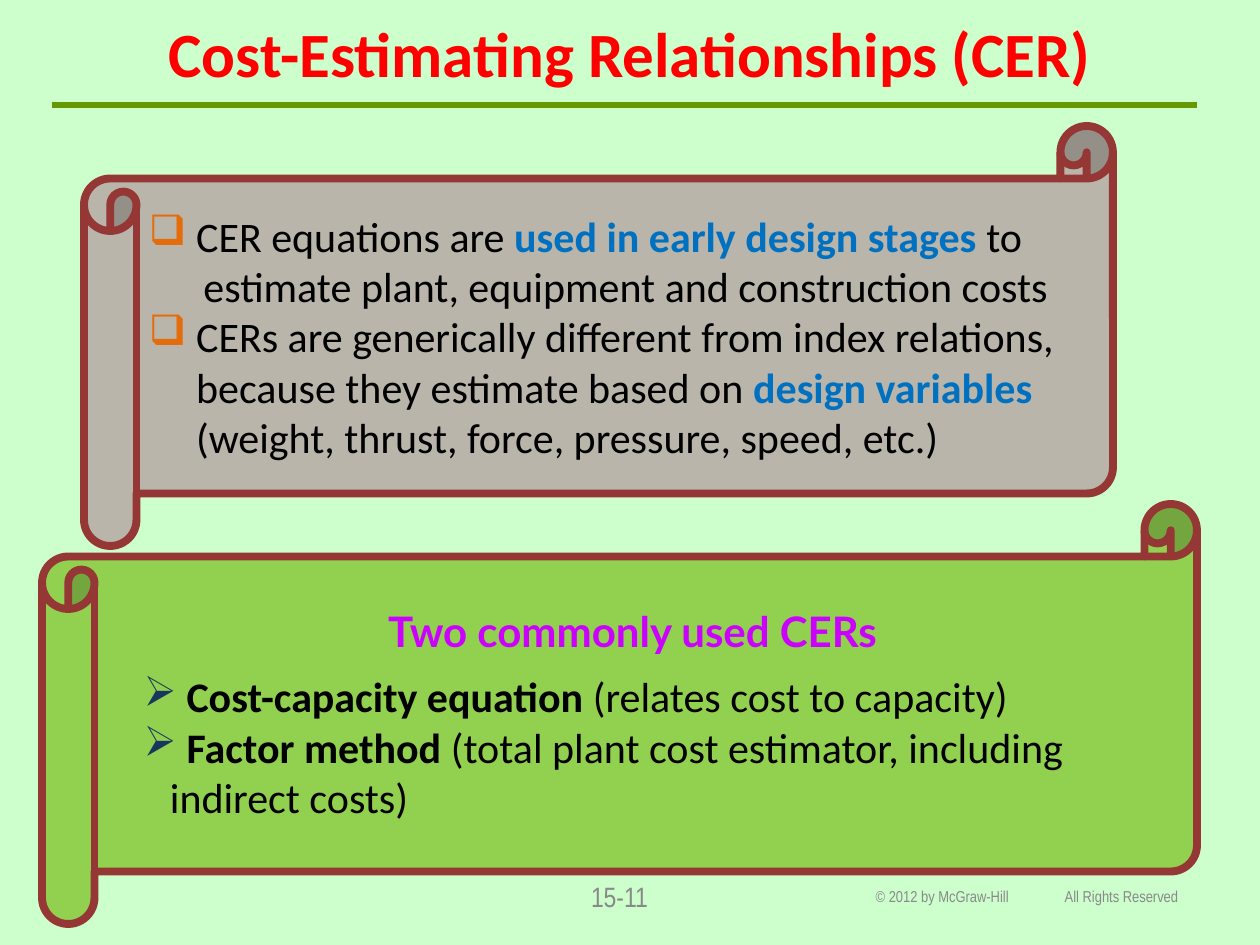
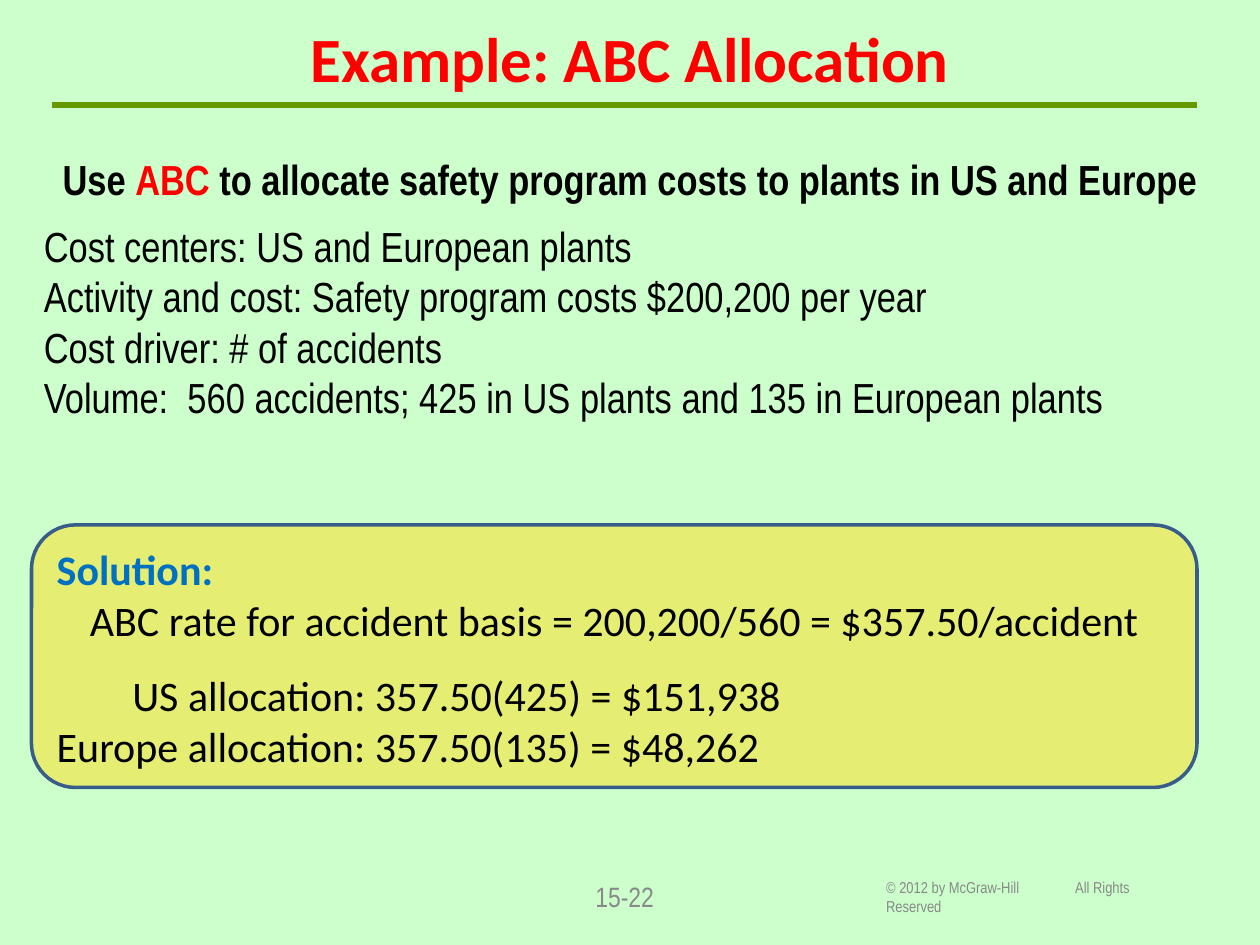
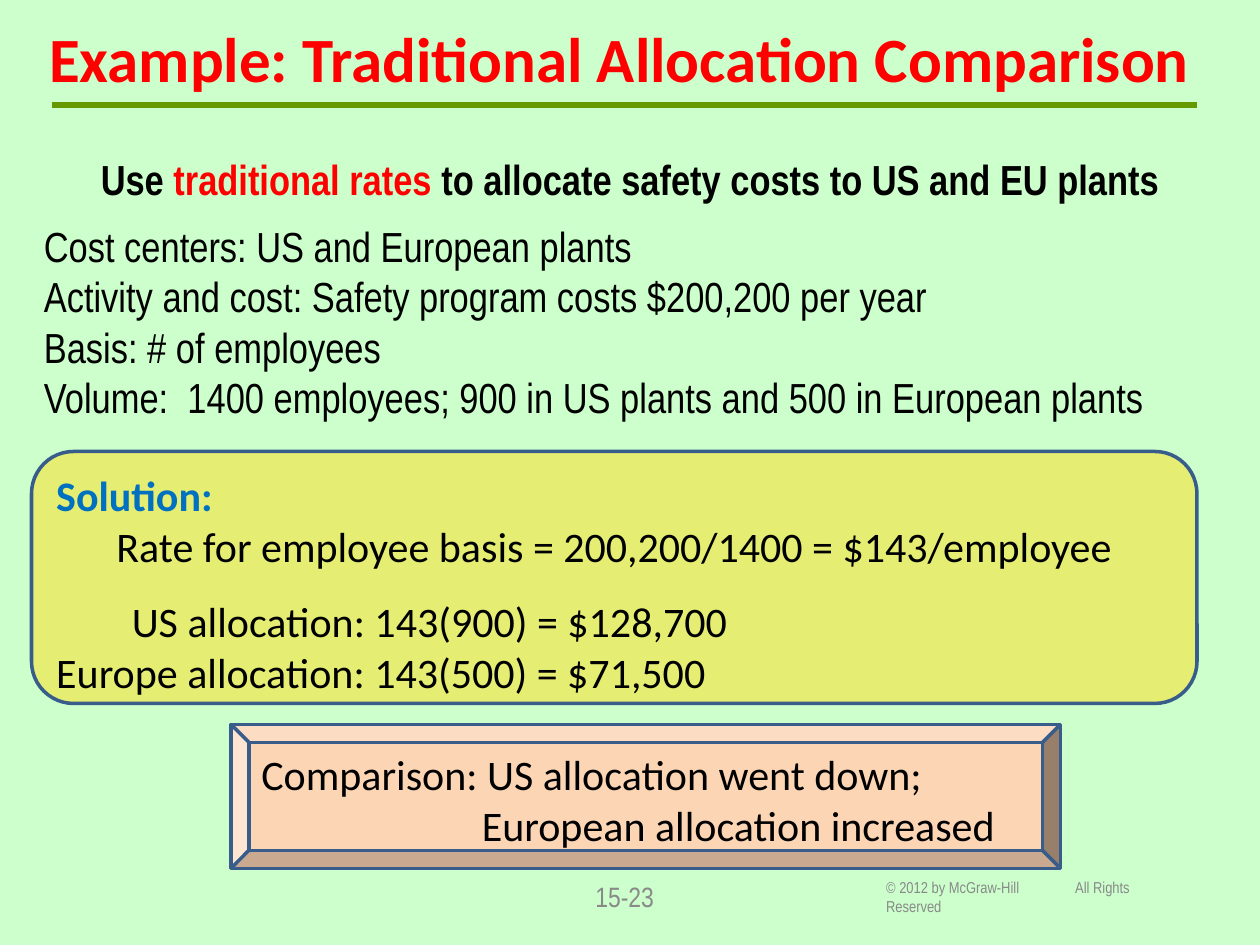
from pptx import Presentation
from pptx.dml.color import RGBColor
from pptx.enum.shapes import MSO_CONNECTOR, MSO_SHAPE
from pptx.enum.text import MSO_ANCHOR, MSO_AUTO_SIZE, PP_ALIGN
from pptx.oxml.ns import qn
from pptx.util import Pt
from lxml.etree import SubElement

# Scale: 120 px to the inch
PX = 7620

# Colours and fonts
MINT = RGBColor(0xCC, 0xFF, 0xCC)
RED = RGBColor(0xFF, 0x00, 0x00)
OLIVE = RGBColor(0x66, 0x99, 0x00)
GREY = RGBColor(0x89, 0x89, 0x89)
BLACK = RGBColor(0x00, 0x00, 0x00)
BLUE = RGBColor(0x00, 0x70, 0xC0)
NAVY = RGBColor(0x17, 0x37, 0x5E)
STEEL = RGBColor(0x38, 0x5D, 0x8A)
ORANGE = RGBColor(0xE4, 0x6C, 0x0A)
PURPLE = RGBColor(0xCC, 0x00, 0xFF)
STONE = RGBColor(0xB9, 0xB5, 0xAB)
GREEN = RGBColor(0x92, 0xD0, 0x50)
BROWN = RGBColor(0x95, 0x37, 0x35)
YELLOW = RGBColor(0xE5, 0xEE, 0x72)
PEACH = RGBColor(0xFC, 0xD5, 0xB5)
SANS, THIN, ROUND = "Calibri", "Arial Narrow", "Lato"

# Shape styles: preset, adjustment, fill, line, line width, anchor
SCROLL = (MSO_SHAPE.HORIZONTAL_SCROLL, 0.125, STONE, BROWN, 4.5, MSO_ANCHOR.MIDDLE)
LEAF = SCROLL[:2] + (GREEN,) + SCROLL[3:]
PANEL = (MSO_SHAPE.ROUNDED_RECTANGLE, 0.167, YELLOW, STEEL, 2, MSO_ANCHOR.TOP)
BEVEL = (MSO_SHAPE.BEVEL, 0.125, PEACH, STEEL, 2, MSO_ANCHOR.TOP)

# Paragraph styles
MID = {"align": PP_ALIGN.CENTER}
BOX = {"bullet": ("❑", ORANGE), "left": 45, "first": -45}
ARROW = {"bullet": ("➢", NAVY), "left": 60, "first": -25}


def run(text, color=BLACK, bold=False, font=SANS, size=24):
    return text, color, bold, font, size


def thin(text, color=BLACK, bold=False):
    return run(text, color, bold, THIN)


def brief(lead, key, rest, facts):
    """Centred heading line with plain facts below it."""
    head = [thin(lead, bold=True), thin(key, RED, True), thin(rest, bold=True)]
    rows = [({"before": 0 if i else 9.6}, [thin(f)]) for i, f in enumerate(facts)]
    return [(MID, head)] + rows


def answer(rate, home, away):
    """Solution lines for one allocation."""
    return [
        ({}, [run("Solution:", BLUE, True)]),
        (MID, [run(rate)]),
        ({"before": 14.4, "left": 72}, [run(home)]),
        ({}, [run(away)]),
    ]


# Content
USES = [
    (BOX, [run("CER equations are "),
           run("used in early design stages ", BLUE, True), run("to")]),
    ({"left": 52}, [run("estimate plant, equipment and construction costs")]),
    (BOX, [run("CERs are generically different from index relations,")]),
    ({"left": 45}, [run("because they estimate based on "),
                    run("design variables", BLUE, True)]),
    ({"left": 45}, [run("(weight, thrust, force, pressure, speed, etc.)")]),
]
KINDS = [
    (MID, [run("Two commonly used CERs", PURPLE, True, ROUND)]),
    ({**ARROW, "before": 8.4}, [run(" "), run("Cost-capacity equation ", bold=True),
                                run("(relates cost to capacity)")]),
    (ARROW, [run(" "), run("Factor method ", bold=True),
             run("(total plant cost estimator, including indirect costs)")]),
]
SHARED = ["Cost centers: US and European plants",
          "Activity and cost: Safety program costs $200,200 per year"]
RATES = brief("Use ", "ABC", " to allocate safety program costs to plants in US and Europe",
              SHARED + ["Cost driver: # of accidents",
                        "Volume:  560 accidents; 425 in US plants and 135 in European plants"])
BASIS = brief("Use ", "traditional rates ", "to allocate safety costs to US and EU plants",
              SHARED + ["Basis: # of employees",
                        "Volume:  1400 employees; 900 in US plants and 500 in European plants"])
BY_ABC = answer("ABC rate for accident basis = 200,200/560 = $357.50/accident",
                "US allocation: 357.50(425) = $151,938",
                "Europe allocation: 357.50(135) = $48,262")
BY_HEAD = answer("Rate for employee basis = 200,200/1400 = $143/employee",
                 "US allocation: 143(900) = $128,700",
                 "Europe allocation: 143(500) = $71,500")
RESULT = [
    ({}, [run("Comparison: US allocation went down;")]),
    ({"left": 210}, [run("European allocation increased")]),
]
NOTICE = "© 2012 by McGraw-Hill\tAll Rights Reserved"
NOTICE_W, NOTICE_TAB = 252, 143
FOOT_Y, FOOT_H = 830, 48

# Each slide: title, title box, page, page width, notice (left, width), parts
SLIDES = [
    ("Cost-Estimating Relationships (CER)", (60, 10, 1080, 80), "15-11", 120, (770, 380),
     [(SCROLL, (80, 120, 980, 400), USES), (LEAF, (40, 480, 1100, 400), KINDS)]),
    ("Example: ABC Allocation", (60, 20, 1080, 70), "15-22", 130, (820, 300),
     [(None, (30, 140, 1140, 320), RATES), (PANEL, (30, 500, 1110, 250), BY_ABC)]),
    ("Example: Traditional Allocation Comparison", (20, 20, 1140, 70), "15-23", 130, (820, 300),
     [(PANEL, (30, 430, 1110, 240), BY_HEAD), (None, (30, 140, 1140, 290), BASIS),
      (BEVEL, (220, 690, 790, 137), RESULT)]),
]


def scale(box):
    return [n * PX for n in box]


def mark(para, bullet=None, left=0, first=0, tab=0):
    """Set indents, bullet and tab stop."""
    props = para._p.get_or_add_pPr()
    props.set("marL", str(left * PX))
    props.set("indent", str(first * PX))
    if bullet:
        char, color = bullet
        tint = SubElement(props, qn("a:buClr"))
        SubElement(tint, qn("a:srgbClr"), val=str(color))
        SubElement(props, qn("a:buChar"), char=char)
    else:
        SubElement(props, qn("a:buNone"))
    if tab:
        stops = SubElement(props, qn("a:tabLst"))
        SubElement(stops, qn("a:tab"), pos=str(tab * PX), algn="l")


def write(shape, paras, anchor=MSO_ANCHOR.TOP, pad=12):
    """Fill a shape with paragraphs, run by run."""
    frame = shape.text_frame
    frame.word_wrap = True
    frame.auto_size = MSO_AUTO_SIZE.NONE
    frame.vertical_anchor = anchor
    frame.margin_left, frame.margin_right = pad * PX, 12 * PX
    frame.margin_top = frame.margin_bottom = 6 * PX
    for i, (style, runs) in enumerate(paras):
        para = frame.add_paragraph() if i else frame.paragraphs[0]
        style = dict(style)
        align = style.pop("align", PP_ALIGN.LEFT)
        before = style.pop("before", 0)
        mark(para, **style)
        para.alignment = align
        para.space_before = Pt(before)
        for text, color, bold, font, size in runs:
            part = para.add_run()
            part.text = text
            part.font.name, part.font.size = font, Pt(size)
            part.font.bold, part.font.color.rgb = bold, color


def draw(slide, style, box, paras):
    """Add a styled shape, or a plain text box when style is None."""
    if style is None:
        write(slide.shapes.add_textbox(*scale(box)), paras)
        return
    preset, adjust, fill, line, width, anchor = style
    shape = slide.shapes.add_shape(preset, *scale(box))
    shape.adjustments[0] = adjust
    shape.shadow.inherit = False
    shape.fill.solid()
    shape.fill.fore_color.rgb = fill
    shape.line.color.rgb = line
    shape.line.width = Pt(width)
    write(shape, paras, anchor)


def frame(slide, title, box, page, wide, notice):
    """Title, rule and footers found on every slide."""
    head = slide.shapes.title
    head.left, head.top, head.width, head.height = scale(box)
    write(head, [(MID, [run(title, RED, True, SANS, 36)])], MSO_ANCHOR.MIDDLE)
    rule = slide.shapes.add_connector(MSO_CONNECTOR.STRAIGHT, *scale((50, 100, 1140, 100)))
    rule.line.color.rgb = OLIVE
    rule.line.width = Pt(3)
    SubElement(rule._element.spPr, qn("a:effectLst"))
    left, width = notice
    feet = [
        (left, width, (width - NOTICE_W) // 2, {"tab": NOTICE_TAB}, NOTICE, 9),
        (530, wide, 12, MID, page, 16),
    ]
    for x, w, pad, style, text, size in feet:
        foot = slide.shapes.add_textbox(*scale((x, FOOT_Y, w, FOOT_H)))
        write(foot, [(style, [run(text, GREY, False, THIN, size)])], MSO_ANCHOR.MIDDLE, pad)


def main():
    prs = Presentation()
    prs.slide_width, prs.slide_height = scale((1200, 900))
    back = prs.slide_master.background.fill
    back.solid()
    back.fore_color.rgb = MINT
    for *common, parts in SLIDES:
        slide = prs.slides.add_slide(prs.slide_layouts[5])
        frame(slide, *common)
        for part in parts:
            draw(slide, *part)
    prs.save("out.pptx")


if __name__ == "__main__":
    main()
